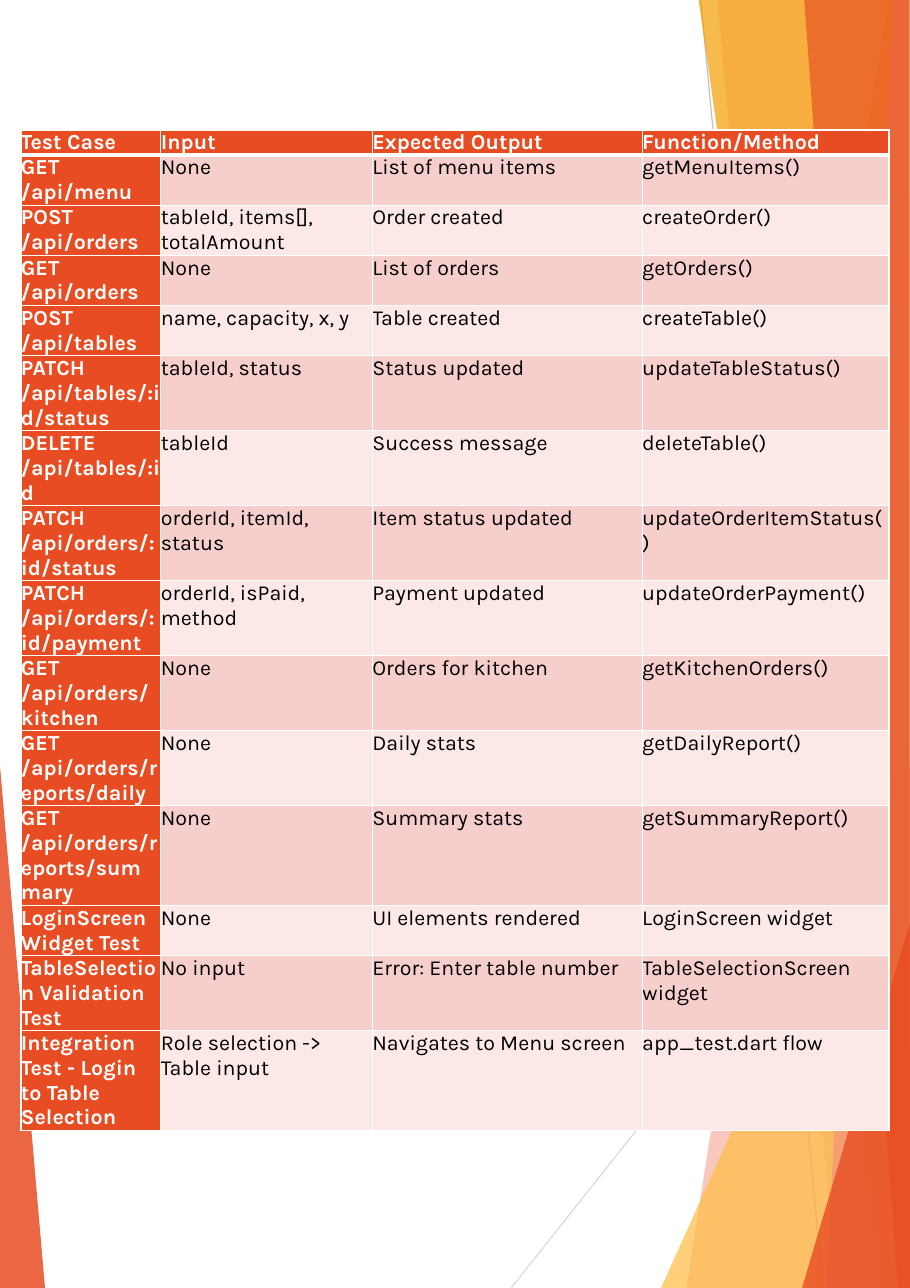
"""Build the API and widget test case slide."""

from dataclasses import dataclass
from typing import Any

import lxml.etree
import pptx
import pptx.dml.color
import pptx.enum.shapes
import pptx.oxml.ns
import pptx.util

COLORS = {
    "orange": "E84C22",
    "yellow": "FFBD47",
    "amber": "F59D00",
    "salmon": "F1947A",
    "band_dark": "F6CECB",
    "band_light": "FBE8E7",
    "white": "FFFFFF",
    "black": "000000",
    "light_gray": "D9D9D9",
    "gray": "BFBFBF",
}
WIDTH, HEIGHT = 594.72, 841.68
LEFT, TOP, RIGHT = -0.72, -0.72, 595.44
LOWER = 843.12

Point = tuple[float, float]


@dataclass(frozen=True)
class Facet:
    points: tuple[Point, ...]
    color: str
    opacity: int


@dataclass(frozen=True)
class Ray:
    start: Point
    end: Point
    color: str


DECORATIONS = (
    Facet(((LEFT, 492.48), (29.52, LOWER), (LEFT, HEIGHT)), "orange", 85),
    Ray((334.08, HEIGHT), (RIGHT, 512.64), "light_gray"),
    Ray((457.92, 0), (537.84, HEIGHT), "gray"),
    Facet(((580.32, 0), (448.56, HEIGHT), (596.16, LOWER), (RIGHT, 0.72)), "orange", 30),
    Facet(((468.72, TOP), (547.2, HEIGHT), (RIGHT, HEIGHT), (RIGHT, TOP)), "orange", 20),
    Facet(((432, HEIGHT), (WIDTH, 480.96), (RIGHT, HEIGHT)), "yellow", 72),
    Facet(((456.48, TOP), (576.72, HEIGHT), (RIGHT, HEIGHT), (RIGHT, TOP)), "amber", 70),
    Facet(((583.92, TOP), (540, HEIGHT), (RIGHT, HEIGHT), (RIGHT, TOP)), "salmon", 70),
    Facet(((525.6, TOP), (586.8, HEIGHT), (WIDTH, HEIGHT), (594, TOP)), "orange", 65),
    Facet(((524.16, HEIGHT), (RIGHT, 600.48), (RIGHT, HEIGHT)), "orange", 80),
)

COLUMN_WIDTHS = (91.44, 138.24, 176.4, 161.28)
ROW_HEIGHT = 16.56
TEST_CASES = (
    ("Test Case", "Input", "Expected Output", "Function/Method"),
    ("GET /api/menu", "None", "List of menu items", "getMenuItems()"),
    ("POST /api/orders", "tableId, items[], totalAmount", "Order created", "createOrder()"),
    ("GET /api/orders", "None", "List of orders", "getOrders()"),
    ("POST /api/tables", "name, capacity, x, y", "Table created", "createTable()"),
    ("PATCH /api/tables/:id/status", "tableId, status", "Status updated", "updateTableStatus()"),
    ("DELETE /api/tables/:id", "tableId", "Success message", "deleteTable()"),
    ("PATCH /api/orders/:id/status", "orderId, itemId, status", "Item status updated",
     "updateOrderItemStatus()"),
    ("PATCH /api/orders/:id/payment", "orderId, isPaid, method", "Payment updated",
     "updateOrderPayment()"),
    ("GET /api/orders/kitchen", "None", "Orders for kitchen", "getKitchenOrders()"),
    ("GET /api/orders/reports/daily", "None", "Daily stats", "getDailyReport()"),
    ("GET /api/orders/reports/summary", "None", "Summary stats", "getSummaryReport()"),
    ("LoginScreen Widget Test", "None", "UI elements rendered", "LoginScreen widget"),
    ("TableSelection Validation Test", "No input", "Error: Enter table number",
     "TableSelectionScreen widget"),
    ("Integration Test - Login to Table Selection", "Role selection -> Table input",
     "Navigates to Menu screen", "app_test.dart flow"),
)
CELL_FORMAT = {"margin_left": 0, "margin_top": 0, "margin_right": 0, "margin_bottom": 0}
FONT_FORMAT = {"name": "Karla", "size": pptx.util.Pt(14)}


def rgb(color: str) -> pptx.dml.color.RGBColor:
    return pptx.dml.color.RGBColor.from_string(COLORS[color])


def apply_format(target: Any, values: dict[str, Any]) -> None:
    for name, value in values.items():
        setattr(target, name, value)


def add_child(parent: Any, tag: str, **attributes: str) -> Any:
    return lxml.etree.SubElement(parent, pptx.oxml.ns.qn(tag), attributes)


def draw_facet(slide: Any, facet: Facet) -> None:
    corners = [(pptx.util.Pt(x), pptx.util.Pt(y)) for x, y in facet.points]
    builder = slide.shapes.build_freeform(*corners[0])
    builder.add_line_segments(corners[1:], close=True)
    shape = builder.convert_to_shape()
    shape.shadow.inherit = False
    shape.fill.solid()
    shape.fill.fore_color.rgb = rgb(facet.color)
    fill_color = shape.element.spPr.find(".//" + pptx.oxml.ns.qn("a:srgbClr"))
    add_child(fill_color, "a:alpha", val=str(facet.opacity * 1000))
    shape.line.fill.background()


def draw_ray(slide: Any, ray: Ray) -> None:
    ends = [pptx.util.Pt(length) for length in ray.start + ray.end]
    connector = slide.shapes.add_connector(pptx.enum.shapes.MSO_CONNECTOR.STRAIGHT, *ends)
    connector.line.color.rgb = rgb(ray.color)
    connector.line.width = pptx.util.Pt(0.75)
    add_child(connector.element.spPr, "a:effectLst")


def set_borders(cell: Any, top: float, bottom: float) -> None:
    properties = cell._tc.get_or_add_tcPr()
    widths = {"a:lnL": 1, "a:lnR": 1, "a:lnT": top, "a:lnB": bottom}
    for position, (tag, width) in enumerate(widths.items()):
        border = add_child(properties, tag, w=str(pptx.util.Pt(width)))
        add_child(add_child(border, "a:solidFill"), "a:srgbClr", val=COLORS["white"])
        properties.insert(position, border)


def draw_cell(cell: Any, text: str, row: int, column: int) -> None:
    heading = row == 0 or column == 0
    band = "band_dark" if row % 2 else "band_light"
    apply_format(cell, CELL_FORMAT)
    cell.fill.solid()
    cell.fill.fore_color.rgb = rgb("orange" if heading else band)
    set_borders(cell, top=3 if row == 1 else 1, bottom=3 if row == 0 else 1)
    run = cell.text_frame.paragraphs[0].add_run()
    run.text = text
    apply_format(run.font, FONT_FORMAT | {"bold": heading})
    run.font.color.rgb = rgb("white" if heading else "black")


def draw_test_table(slide: Any) -> None:
    frame = slide.shapes.add_table(
        len(TEST_CASES), len(COLUMN_WIDTHS),
        pptx.util.Pt(13.68), pptx.util.Pt(84.96),
        pptx.util.Pt(sum(COLUMN_WIDTHS)), pptx.util.Pt(ROW_HEIGHT * len(TEST_CASES)),
    )
    table = frame.table
    for column, width in zip(table.columns, COLUMN_WIDTHS):
        column.width = pptx.util.Pt(width)
    for row, texts in enumerate(TEST_CASES):
        for column, text in enumerate(texts):
            draw_cell(table.cell(row, column), text, row, column)
    frame.height = pptx.util.Pt(671.76)


def main() -> None:
    presentation = pptx.Presentation()
    presentation.slide_width = pptx.util.Pt(WIDTH)
    presentation.slide_height = pptx.util.Pt(HEIGHT)
    slide = presentation.slides.add_slide(presentation.slide_layouts[6])
    for decoration in DECORATIONS:
        if isinstance(decoration, Facet):
            draw_facet(slide, decoration)
        else:
            draw_ray(slide, decoration)
    draw_test_table(slide)
    presentation.save("out.pptx")


if __name__ == "__main__":
    main()
